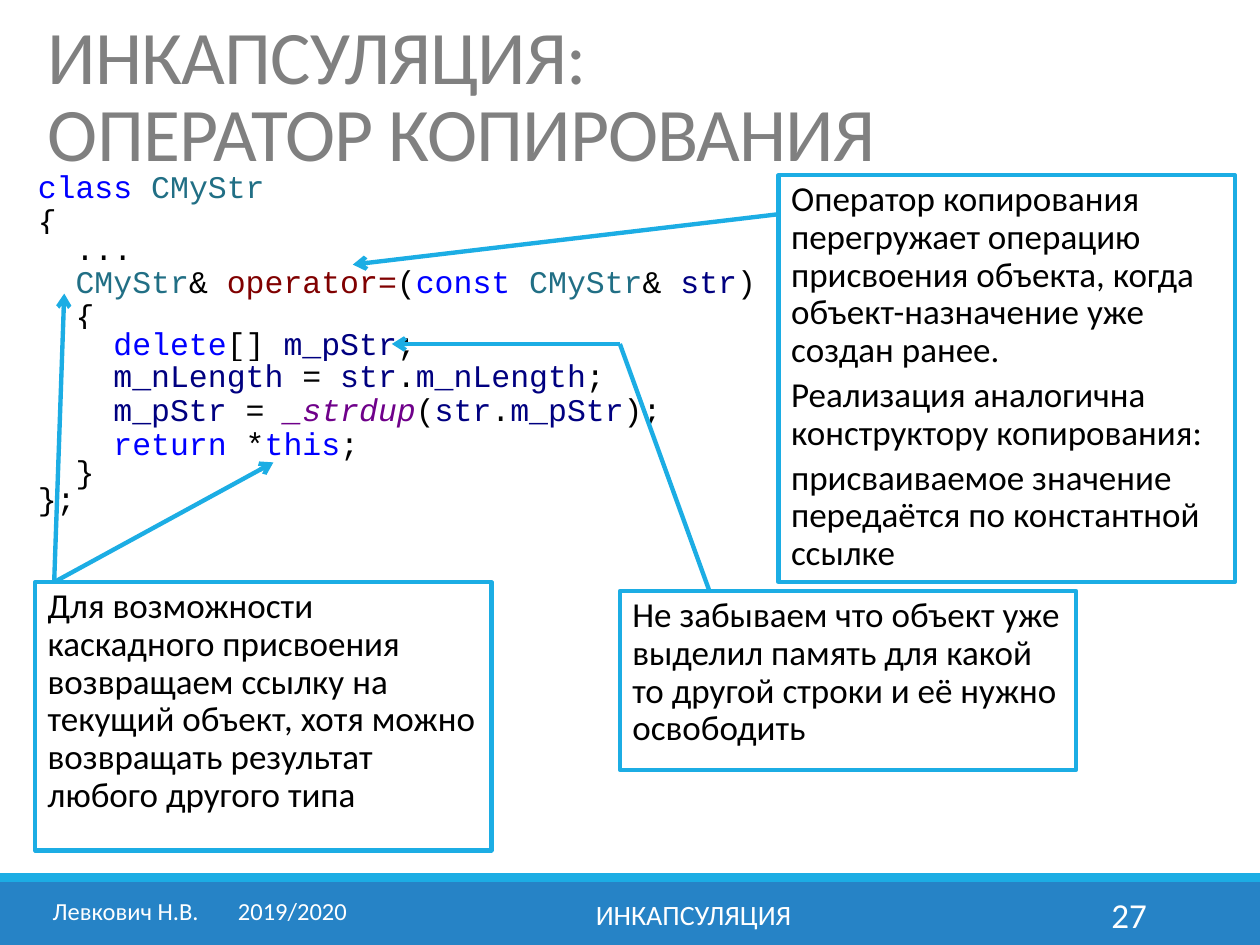
from dataclasses import dataclass

from lxml.etree import SubElement
from pptx import Presentation
from pptx.dml.color import RGBColor
from pptx.enum.shapes import MSO_CONNECTOR as Connector, MSO_SHAPE as Shape
from pptx.enum.text import MSO_ANCHOR as Anchor, MSO_AUTO_SIZE as AutoSize, PP_ALIGN as Align
from pptx.oxml.ns import qn
from pptx.util import Inches, Pt

COLUMNS, ROWS = 100, 75


@dataclass(frozen=True)
class Theme:
    text_font: str = "Calibri"
    code_font: str = "Courier New"
    band: str = "2683C6"
    accent: str = "1CADE4"
    heading: str = "808080"
    ink: str = "000000"
    paper: str = "FFFFFF"
    keyword: str = "0000FF"
    type_name: str = "216F85"
    operator: str = "800000"
    variable: str = "000080"
    function: str = "6F008A"
    title_size: float = 43.2
    code_size: float = 18
    note_size: float = 20
    number_size: float = 20
    topic_size: float = 16
    author_size: float = 14
    rule: float = 2.5


class SlideBuilder:
    def __init__(self, deck, theme):
        self.theme = theme
        self.slide = deck.slides.add_slide(deck.slide_layouts[1])
        self.column = deck.slide_width / COLUMNS
        self.row = deck.slide_height / ROWS

    def place(self, left, top, width, height):
        return (round(left * self.column), round(top * self.row),
                round(width * self.column), round(height * self.row))

    def move(self, holder, area):
        for side, length in zip(("left", "top", "width", "height"), self.place(*area)):
            setattr(holder, side, length)
        frame = holder.text_frame
        frame.auto_size = AutoSize.NONE
        frame.vertical_anchor = Anchor.TOP
        return frame

    def format(self, target, values):
        for key, value in values.items():
            setattr(target, key, value)

    def run(self, paragraph, text, size, color, font=None, italic=False):
        part = paragraph.add_run()
        part.text = text
        self.format(part.font, {"name": font or self.theme.text_font, "size": Pt(size),
                                "bold": False, "italic": italic})
        part.font.color.rgb = RGBColor.from_string(color)
        return part

    def title(self, area, lines):
        frame = self.move(self.slide.shapes.title, area)
        heading = frame.paragraphs[0]
        self.format(heading, {"alignment": Align.LEFT, "line_spacing": 0.85})
        for index, line in enumerate(lines):
            if index:
                heading.add_line_break()
            part = self.run(heading, line, self.theme.title_size, self.theme.heading)
            part.font._element.set("spc", "-50")

    def code(self, area, lines):
        frame = self.move(self.slide.placeholders[1], area)
        for index, (spacing, tokens) in enumerate(lines):
            line = frame.add_paragraph() if index else frame.paragraphs[0]
            properties = line._p.get_or_add_pPr()
            properties.set("marL", "0")
            properties.set("indent", "0")
            SubElement(properties, qn("a:buNone"))
            self.format(line, {"alignment": Align.LEFT, "line_spacing": spacing,
                               "space_before": Pt(0), "space_after": Pt(0)})
            for text, role in tokens:
                part = self.run(line, text, self.theme.code_size, getattr(self.theme, role),
                                self.theme.code_font, role == "function")
                self.highlight(part)

    def highlight(self, part):
        properties = part.font._element
        marker = SubElement(properties, qn("a:highlight"))
        SubElement(marker, qn("a:srgbClr"), val=self.theme.paper)
        properties.find(qn("a:solidFill")).addnext(marker)

    def band(self, area, color):
        strip = self.slide.shapes.add_shape(Shape.RECTANGLE, *self.place(*area))
        strip.shadow.inherit = False
        strip.fill.solid()
        strip.fill.fore_color.rgb = RGBColor.from_string(color)
        strip.line.fill.background()

    def note(self, area, paragraphs):
        box = self.slide.shapes.add_shape(Shape.RECTANGLE, *self.place(*area))
        box.shadow.inherit = False
        box.fill.background()
        self.outline(box.line)
        frame = box.text_frame
        self.format(frame, {"word_wrap": True, "vertical_anchor": Anchor.TOP})
        for index, text in enumerate(paragraphs):
            paragraph = frame.add_paragraph() if index else frame.paragraphs[0]
            self.format(paragraph, {"alignment": Align.LEFT, "line_spacing": 0.9,
                                    "space_before": Pt(4 if index else 0)})
            self.run(paragraph, text, self.theme.note_size, self.theme.ink)

    def outline(self, line):
        line.color.rgb = RGBColor.from_string(self.theme.accent)
        line.width = Pt(self.theme.rule)

    def pointer(self, start, end, arrow=True):
        link = self.slide.shapes.add_connector(
            Connector.STRAIGHT, *self.place(*start, *end))
        self.outline(link.line)
        if arrow:
            SubElement(link.line._get_or_add_ln(), qn("a:tailEnd"), type="arrow")
        SubElement(link._element.spPr, qn("a:effectLst"))

    def footer(self, area, text, size, alignment, anchor=Anchor.MIDDLE, tab=None):
        frame = self.slide.shapes.add_textbox(*self.place(*area)).text_frame
        self.format(frame, {"word_wrap": True, "vertical_anchor": anchor})
        paragraph = frame.paragraphs[0]
        if tab:
            stops = SubElement(paragraph._p.get_or_add_pPr(), qn("a:tabLst"))
            SubElement(stops, qn("a:tab"), pos=str(round(tab * self.column)), algn="l")
        paragraph.alignment = alignment
        self.run(paragraph, text, size, self.theme.paper)


CODE = [
    (0.9, [("class", "keyword"), (" ", "ink"), ("CMyStr", "type_name")]),
    (0.9, [("{", "ink")]),
    (0.7, [("  ...", "ink")]),
    (0.9, [("  CMyStr", "type_name"), ("& ", "ink"), ("operator=", "operator"), ("(", "ink"),
           ("const", "keyword"), (" ", "ink"), ("CMyStr", "type_name"), ("& ", "ink"),
           ("str", "variable"), (")", "ink")]),
    (0.9, [("  {", "ink")]),
    (0.7, [("    delete", "keyword"), ("[] ", "ink"), ("m_pStr", "variable"), (";", "ink")]),
    (0.9, [("    m_nLength", "variable"), (" = ", "ink"), ("str", "variable"), (".", "ink"),
           ("m_nLength", "variable"), (";", "ink")]),
    (0.9, [("    m_pStr", "variable"), (" = ", "ink"), ("_strdup", "function"), ("(", "ink"),
           ("str", "variable"), (".", "ink"), ("m_pStr", "variable"), (");", "ink")]),
    (0.9, [("    return", "keyword"), (" *", "ink"), ("this", "keyword"), (";", "ink")]),
    (0.7, [("  }", "ink")]),
    (0.7, [("};", "ink")]),
]


def main():
    deck = Presentation()
    deck.slide_width, deck.slide_height = Inches(10), Inches(7.5)
    theme = Theme()
    page = SlideBuilder(deck, theme)

    page.band((0, 70, COLUMNS, 5), theme.band)
    page.band((0, 69.3, COLUMNS, 0.7), theme.accent)
    page.title((2.8, 1.3, 94.5, 11.8), ["ИНКАПСУЛЯЦИЯ:", "ОПЕРАТОР КОПИРОВАНИЯ"])
    page.code((2, 13.1, 86.6, 55.9), CODE)

    note_width = 36.2
    page.note((61.8, 13.9, note_width, 32.3), [
        "Оператор копирования перегружает операцию присвоения объекта, "
        "когда объект-назначение уже создан ранее.",
        "Реализация аналогична конструктору копирования:",
        "присваиваемое значение передаётся по константной ссылке"])
    page.note((2.8, 46.2, note_width, 21.3), [
        "Для возможности каскадного присвоения возвращаем ссылку на текущий объект, "
        "хотя можно возвращать результат любого другого типа"])
    page.note((49.2, 46.9, note_width, 14.2), [
        "Не забываем что объект уже выделил память для какой то другой строки "
        "и её нужно освободить"])

    cascade, bend = (4.3, 46.2), (49.2, 27.3)
    page.pointer((61.8, 17), (28, 21))
    for target in ((5.1, 23.3), (21.7, 36.7)):
        page.pointer(cascade, target)
    page.pointer((56.3, 46.9), bend, arrow=False)
    page.pointer(bend, (31.1, 27.3))

    page.footer((3.2, 70.6, 26.1, 4), "Левкович Н.В.\t2019/2020", theme.author_size,
                Align.LEFT, Anchor.TOP, tab=14.7)
    page.footer((30.2, 70.6, 49.7, 4), "ИНКАПСУЛЯЦИЯ", theme.topic_size, Align.CENTER)
    page.footer((81.2, 70.6, 10.8, 4), "27", theme.number_size, Align.RIGHT)

    deck.save("out.pptx")


if __name__ == "__main__":
    main()
